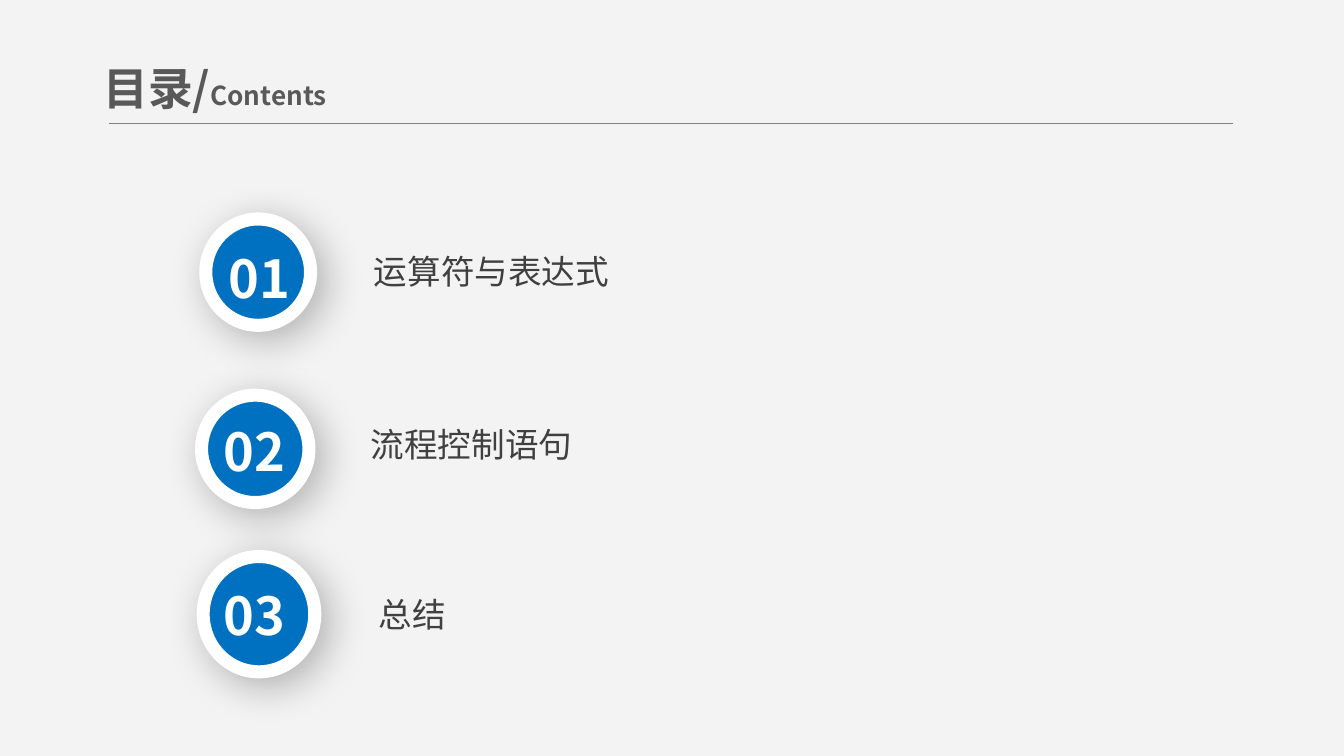
from dataclasses import dataclass
from typing import NamedTuple

from lxml.etree import SubElement
from pptx import Presentation
from pptx.dml.color import RGBColor
from pptx.enum.shapes import MSO_CONNECTOR, MSO_SHAPE
from pptx.enum.text import MSO_ANCHOR, MSO_AUTO_SIZE, PP_ALIGN
from pptx.oxml.ns import qn
from pptx.util import Cm, Pt


@dataclass(frozen=True)
class Theme:
    """Colours, type sizes and font of the slide."""
    font: str = "Noto Sans CJK SC"
    background: RGBColor = RGBColor(0xF3, 0xF3, 0xF3)
    title: RGBColor = RGBColor(0x59, 0x59, 0x59)
    rule: RGBColor = RGBColor(0x80, 0x80, 0x80)
    label: RGBColor = RGBColor(0x40, 0x40, 0x40)
    accent: RGBColor = RGBColor(0x00, 0x70, 0xC0)
    white: RGBColor = RGBColor(0xFF, 0xFF, 0xFF)
    title_size: Pt = Pt(24)
    subtitle_size: Pt = Pt(14)
    label_size: Pt = Pt(18)
    number_size: Pt = Pt(28)


class Box(NamedTuple):
    """Left, top, width and height in centimetres."""
    left: float
    top: float
    width: float
    height: float

    def lengths(self) -> list[Cm]:
        """Return the four values as lengths."""
        return [Cm(value) for value in self]


@dataclass(frozen=True)
class Entry:
    """One numbered line of the contents."""
    number: str
    label: str
    circle_box: Box
    number_box: Box
    label_box: Box
    alignment: PP_ALIGN = PP_ALIGN.CENTER


THEME = Theme()
ENTRIES = [
    Entry("01", "运算符与表达式", Box(3.89, 4.14, 1.98, 2.01),
          Box(3.89, 4.55, 2.03, 1.19), Box(6.65, 4.65, 5.28, 0.97)),
    Entry("02", "流程控制语句", Box(3.81, 7.47, 2.03, 2.03),
          Box(3.91, 7.82, 1.8, 1.4), Box(3.51, 7.92, 10.8, 1.73)),
    Entry("03", "总结", Box(3.84, 10.52, 2.11, 2.18),
          Box(3.89, 10.92, 1.85, 1.4), Box(6.98, 11.12, 3, 1.02), PP_ALIGN.LEFT),
]


def style_paragraph(paragraph, size: Pt, color: RGBColor, bold: bool = False) -> None:
    """Set one font for a paragraph and its runs, East Asian text included."""
    for font in (paragraph.font, *(run.font for run in paragraph.runs)):
        font.name, font.size, font.bold = THEME.font, size, bold
        font.color.rgb = color
        SubElement(font._rPr, qn("a:ea"), typeface=THEME.font)


def add_text(shapes, text: str, box: Box, size: Pt, color: RGBColor,
             alignment: PP_ALIGN = PP_ALIGN.CENTER, bold: bool = False) -> None:
    """Add a wrapped text box with one paragraph."""
    frame = shapes.add_textbox(*box.lengths()).text_frame
    frame.word_wrap = True
    frame.auto_size = MSO_AUTO_SIZE.SHAPE_TO_FIT_TEXT
    frame.margin_left = frame.margin_right = Cm(0.18)
    frame.margin_top = frame.margin_bottom = Cm(0.1)
    paragraph = frame.paragraphs[0]
    paragraph.text, paragraph.alignment = text, alignment
    style_paragraph(paragraph, size, color, bold)


def add_soft_shadow(shape) -> None:
    """Give a shape a blurred shadow towards the lower right."""
    shape.shadow.inherit = False
    effects = shape._element.spPr.find(qn("a:effectLst"))
    shadow = SubElement(effects, qn("a:outerShdw"), blurRad=str(Pt(22)),
                        dist=str(Pt(6)), dir="2700000", algn="tl", rotWithShape="0")
    color = SubElement(shadow, qn("a:srgbClr"), val="000000")
    SubElement(color, qn("a:alpha"), val="28000")


def add_entry(slide, entry: Entry) -> None:
    """Draw a numbered badge and its label."""
    badge = slide.shapes.add_group_shape()
    circle = badge.shapes.add_shape(MSO_SHAPE.OVAL, *entry.circle_box.lengths())
    circle.fill.solid()
    circle.fill.fore_color.rgb = THEME.accent
    circle.line.color.rgb = THEME.white
    circle.line.width = Pt(7)
    add_soft_shadow(circle)
    add_text(badge.shapes, entry.number, entry.number_box,
             THEME.number_size, THEME.white, bold=True)
    add_text(slide.shapes, entry.label, entry.label_box,
             THEME.label_size, THEME.label, entry.alignment)


def add_heading(slide) -> None:
    """Fill the title placeholder and draw the rule below it."""
    title = slide.shapes.title
    title.left, title.top, title.width, title.height = Box(1.7, 0.97, 6.27, 1.37).lengths()
    frame = title.text_frame
    frame.auto_size = MSO_AUTO_SIZE.NONE
    frame.vertical_anchor = MSO_ANCHOR.MIDDLE
    paragraph = frame.paragraphs[0]
    paragraph.alignment = PP_ALIGN.LEFT
    for text in ("目录/", "Contents"):
        paragraph.add_run().text = text
    style_paragraph(paragraph, THEME.title_size, THEME.title, bold=True)
    paragraph.runs[1].font.size = THEME.subtitle_size
    rule = slide.shapes.add_connector(MSO_CONNECTOR.STRAIGHT,
                                      Cm(2.06), Cm(2.34), Cm(23.3), Cm(2.34))
    rule.line.color.rgb = THEME.rule
    rule.line.width = Pt(0.75)
    SubElement(rule._element.spPr, qn("a:effectLst"))


def main() -> None:
    """Build and save the contents slide."""
    presentation = Presentation()
    presentation.slide_width, presentation.slide_height = Cm(25.4), Cm(14.29)
    slide = presentation.slides.add_slide(presentation.slide_layouts[5])
    slide.background.fill.solid()
    slide.background.fill.fore_color.rgb = THEME.background
    add_heading(slide)
    for entry in ENTRIES:
        add_entry(slide, entry)
    presentation.save("out.pptx")


main()
